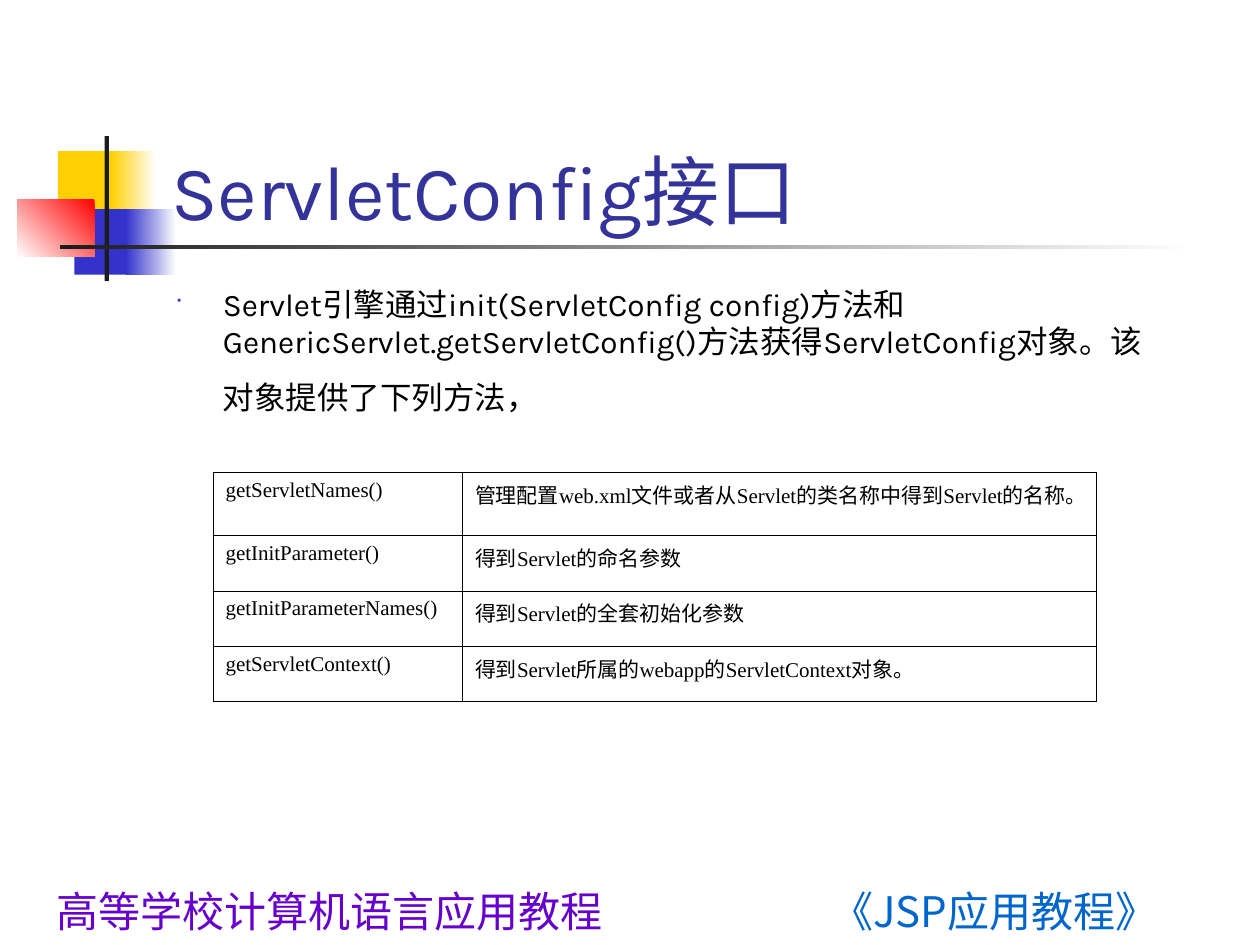
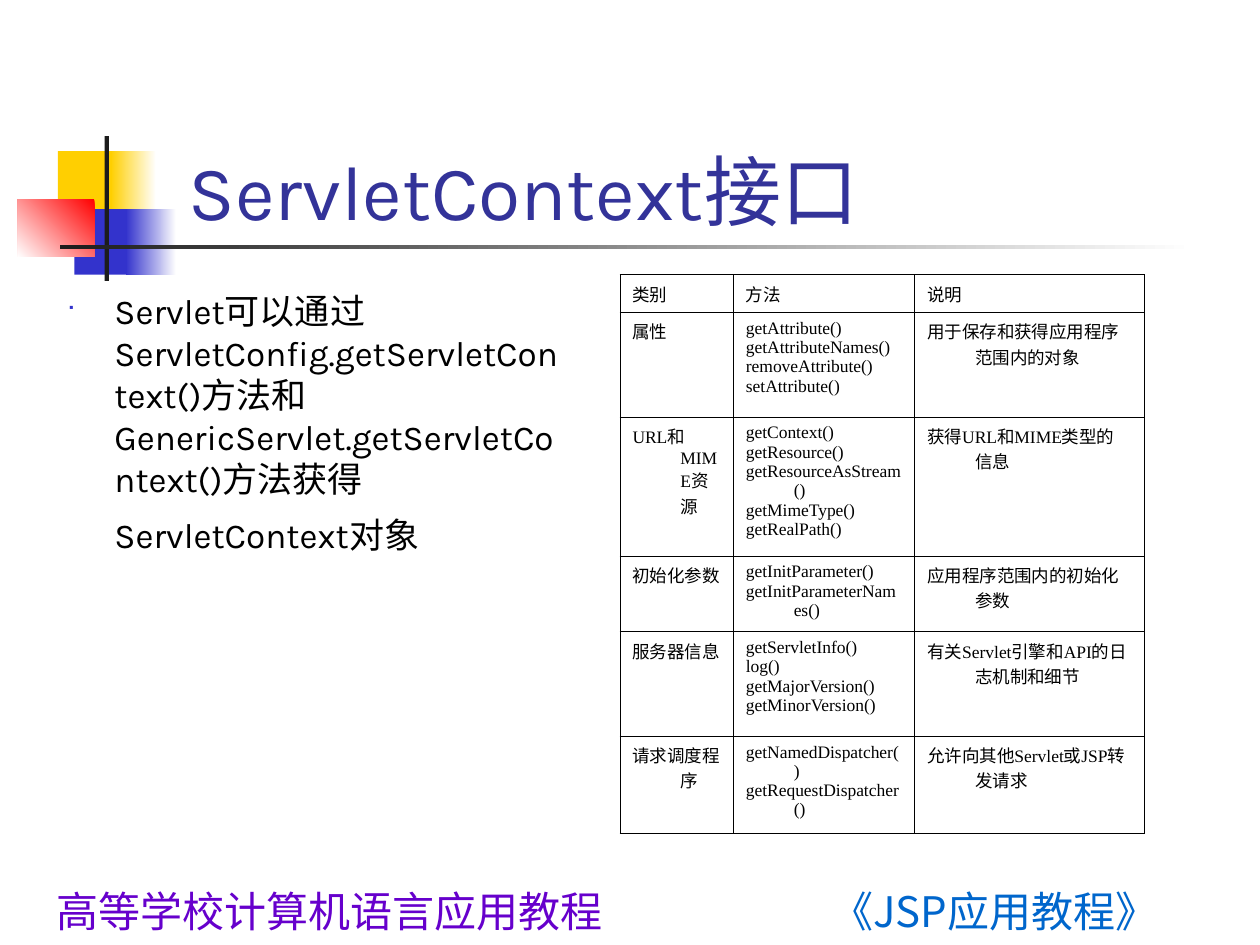
from pptx import Presentation
from pptx.dml.color import RGBColor as Rgb
from pptx.enum.shapes import MSO_SHAPE as Kind
from pptx.enum.text import MSO_ANCHOR as Anchor
from pptx.oxml import parse_xml as read
from pptx.oxml.ns import nsdecls as ns
from pptx.util import Inches, Pt

HUE = {
    "white": "FFFFFF", "gold": "FFCF01", "blue": "3333CC", "red": "FF0000",
    "dark": "1C1C1C", "title": "333399", "black": "000000",
    "sky": "0066CC", "plum": "6600CC",
}
COLS, ROWS = 100, 75
CELL = Inches(10) // COLS
HANG = 3.8

HAN = "Noto Sans CJK SC"
STYLE = {
    "title": ({"size": Pt(44), "name": "Karla"}, "title", "Karla"),
    "body": ({"name": "Karla"}, "black", "Karla"),
    "table": ({"name": "Times New Roman"}, "black", HAN),
    "book": ({"size": Pt(24), "name": HAN}, "sky", HAN),
    "series": ({"size": Pt(24), "name": HAN}, "plum", HAN),
}

BLOCKS = [
    ((4.6, 12, 4.8, 5.2), ["gold"], 0),
    ((8.8, 12, 3.6, 5.2), ["white", "gold"], 180),
    ((5.9, 16.6, 4.6, 5.2), ["blue"], 0),
    ((10, 16.6, 4, 5.2), ["white", "blue"], 180),
    ((1.4, 15.8, 6.1, 4.6), ["red", "white"], 225),
    ((8.3, 10.8, 0.35, 11.5), ["dark"], 0),
    ((4.8, 19.45, 90, 0.35), ["white", "dark"], 180),
]
FOOT = [
    ("book", "《JSP应用教程》", (65, 69.8, 35, 2.8)),
    ("series", "高等学校计算机语言应用教程", (3.5, 69.8, 50.4, 5.2)),
]

PAGES = [
    {
        "title": "ServletConfig接口",
        "shift": 0,
        "body": "Servlet引擎通过init(ServletConfig config)方法和"
                "GenericServlet.getServletConfig()方法获得ServletConfig对象。"
                "该对象提供了下列方法，",
        "box": (12.9, 22.1, 79.6, 45),
        "size": 18,
        "spot": (16.9, 37.5),
        "wide": [19.8, 50.3],
        "high": [5, 4.4, 4.4, 4.4],
        "point": 12,
        "cells": [
            ["getServletNames()", "管理配置web.xml文件或者从Servlet的类名称中得到Servlet的名称。"],
            ["getInitParameter()", "得到Servlet的命名参数"],
            ["getInitParameterNames()", "得到Servlet的全套初始化参数"],
            ["getServletContext()", "得到Servlet所属的webapp的ServletContext对象。"],
        ],
    },
    {
        "title": "ServletContext接口",
        "shift": 1.4,
        "body": "Servlet可以通过ServletConfig.getServletContext()方法和"
                "GenericServlet.getServletContext()方法获得ServletContext对象",
        "box": (4.3, 22.5, 41.7, 45),
        "size": 20,
        "spot": (49.2, 21.8),
        "wide": [9, 14.4, 18.2],
        "high": [3, 8.3, 11, 6, 8.3, 7.7],
        "point": 10,
        "cells": [
            ["类别", "方法", "说明"],
            ["属性", "getAttribute()\ngetAttributeNames()\nremoveAttribute()\nsetAttribute()",
             "用于保存和获得应用程序范围内的对象"],
            ["URL和MIME资源", "getContext()\ngetResource()\ngetResourceAsStream()\n"
             "getMimeType()\ngetRealPath()", "获得URL和MIME类型的信息"],
            ["初始化参数", "getInitParameter()\ngetInitParameterNames()",
             "应用程序范围内的初始化参数"],
            ["服务器信息", "getServletInfo()\nlog()\ngetMajorVersion()\ngetMinorVersion()",
             "有关Servlet引擎和API的日志机制和细节"],
            ["请求调度程序", "getNamedDispatcher()\ngetRequestDispatcher()",
             "允许向其他Servlet或JSP转发请求"],
        ],
    },
]


def grid(*spans):
    return [int(span * CELL) for span in spans]


def write(frame, text, style, left=0, first=0, **more):
    form, hue, asian = STYLE[style]
    frame.text = text
    for para in frame.paragraphs:
        prop = para._p.get_or_add_pPr()
        prop.set("marL", str(int(left * CELL)))
        prop.set("indent", str(int(first * CELL)))
        for run in para.runs:
            for key, value in {**form, **more}.items():
                setattr(run.font, key, value)
            run.font.color.rgb = Rgb.from_string(HUE[hue])
            run._r.get_or_add_rPr().append(read(f'<a:ea {ns("a")} typeface="{asian}"/>'))


deck = Presentation()
deck.slide_width, deck.slide_height = grid(COLS, ROWS)

for page in PAGES:
    slide = deck.slides.add_slide(deck.slide_layouts[6])
    shapes = slide.shapes

    for place, hues, angle in BLOCKS:
        block = shapes.add_shape(Kind.RECTANGLE, *grid(*place))
        block.shadow.inherit = False
        block.line.fill.background()
        if len(hues) == 1:
            block.fill.solid()
            block.fill.fore_color.rgb = Rgb.from_string(HUE[hues[0]])
        else:
            block.fill.gradient()
            block.fill.gradient_angle = angle
            for stop, hue in zip(block.fill.gradient_stops, hues):
                stop.color.rgb = Rgb.from_string(HUE[hue])

    for style, text, place in FOOT:
        foot = shapes.add_textbox(*grid(*place)).text_frame
        foot.word_wrap = False
        write(foot, text, style)

    head = shapes.add_textbox(*grid(12.6, 6.7, 85.2, 12.5)).text_frame
    head.word_wrap = True
    head.vertical_anchor = Anchor.BOTTOM
    write(head, page["title"], "title", left=page["shift"])

    body = shapes.add_textbox(*grid(*page["box"])).text_frame
    body.word_wrap = True
    write(body, page["body"], "body", HANG, -HANG, size=Pt(page["size"]))
    para = body.paragraphs[0]
    prop = para._p.get_or_add_pPr()
    for mark in (f'<a:buClr {ns("a")}><a:srgbClr val="{HUE["blue"]}"/></a:buClr>',
                 f'<a:buSzPct {ns("a")} val="60000"/>',
                 f'<a:buFont {ns("a")} typeface="Wingdings"/>',
                 f'<a:buChar {ns("a")} char="■"/>'):
        prop.append(read(mark))
    tail = para.add_run()
    tail.text = " "
    tail.font.size = Pt(28)
    tail.font.name = "Karla"

    wide, high = page["wide"], page["high"]
    size = grid(*page["spot"], sum(wide), sum(high))
    table = shapes.add_table(len(high), len(wide), *size).table
    table.first_row = table.horz_banding = False
    for col, span in zip(table.columns, grid(*wide)):
        col.width = span
    for row, span, texts in zip(table.rows, grid(*high), page["cells"]):
        row.height = span
        for cell, text in zip(row.cells, texts):
            write(cell.text_frame, text, "table", HANG, -HANG, size=Pt(page["point"]))
            prop = cell._tc.get_or_add_tcPr()
            for side in "LRTB":
                prop.append(read(
                    f'<a:ln{side} {ns("a")} w="{Pt(0.45)}"><a:solidFill>'
                    f'<a:srgbClr val="{HUE["black"]}"/></a:solidFill></a:ln{side}>'))
            cell.fill.background()

deck.save("out.pptx")
